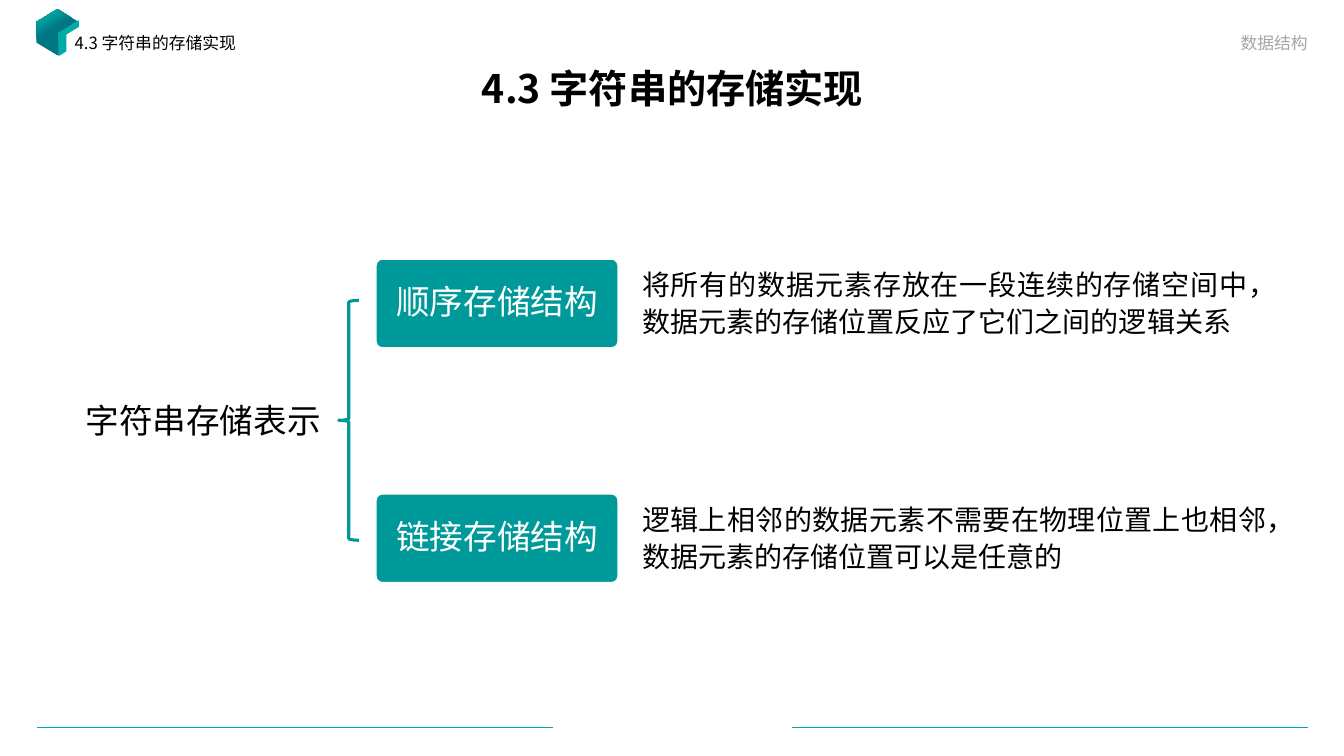
import pptx
import pptx.util
import pptx.dml.color
import pptx.enum.shapes
import pptx.enum.text
from lxml import etree

Inches = pptx.util.Inches
Pt = pptx.util.Pt
SHAPE = pptx.enum.shapes.MSO_SHAPE
ALIGN = pptx.enum.text.PP_ALIGN
ANCHOR = pptx.enum.text.MSO_ANCHOR

FONT = "Noto Sans CJK SC"
COLORS = {
    "teal": "009999",
    "bright": "00ABA5",
    "deep": "007684",
    "white": "FFFFFF",
    "black": "000000",
    "grey": "A6A6A6",
}


def rgb(name):
    return pptx.dml.color.RGBColor.from_string(COLORS[name])


def set_text(sp, text, size, color="black", align=ALIGN.LEFT,
             anchor=ANCHOR.TOP, spacing=1.0, bold=False):
    tf = sp.text_frame
    tf.word_wrap = True
    tf.auto_size = pptx.enum.text.MSO_AUTO_SIZE.NONE
    tf.vertical_anchor = anchor
    p = tf.paragraphs[0]
    p.text = text
    p.alignment = align
    p.line_spacing = spacing
    p.space_before = Pt(0)
    font = p.font
    font.size, font.bold, font.name = Pt(size), bold, FONT
    font.color.rgb = rgb(color)
    # East Asian typeface follows the Latin one
    latin = p._p.pPr.find(".//" + pptx.oxml.ns.qn("a:latin"))
    ea = etree.Element(pptx.oxml.ns.qn("a:ea"), typeface=FONT)
    latin.addnext(ea)


def place(sp, x, y, w, h):
    sp.left, sp.top, sp.width, sp.height = map(Inches, (x, y, w, h))


def add_shape(slide, kind, x, y, w, h, fill=None):
    sp = slide.shapes.add_shape(kind, *map(Inches, (x, y, w, h)))
    sp.shadow.inherit = False
    sp.line.fill.background()
    if fill:
        sp.fill.solid()
        sp.fill.fore_color.rgb = rgb(fill)
    else:
        sp.fill.background()
    return sp


def add_label(slide, x, y, w, h, text, size, **style):
    sp = slide.shapes.add_textbox(*map(Inches, (x, y, w, h)))
    set_text(sp, text, size, **style)


def add_footer_rules(slide, x, y, w, rule_w):
    for left in (x, x + w - rule_w):
        line = slide.shapes.add_connector(
            pptx.enum.shapes.MSO_CONNECTOR.STRAIGHT,
            Inches(left), Inches(y), Inches(left + rule_w), Inches(y))
        line.line.fill.solid()
        line.line.fill.fore_color.rgb = rgb("bright")
        line.line.width = Pt(0.5)
        etree.SubElement(line._element.spPr, pptx.oxml.ns.qn("a:effectLst"))
        # Drop the theme style so that only the teal line is drawn
        line._element.remove(line._element.find(pptx.oxml.ns.qn("p:style")))


def add_cube(slide, x, y):
    body = add_shape(slide, SHAPE.HEXAGON, x, y, 0.46, 0.42)
    body.rotation = 90
    body.adjustments[0] = 0.305
    body.fill.gradient()
    body.fill.gradient_angle = 210
    stops = zip(body.fill.gradient_stops, (0.57, 0.87), ("deep", "bright"))
    for stop, position, color in stops:
        stop.position = position
        stop.color.rgb = rgb(color)
    # Lit face and the notch cut out of it
    for dx, dy, color in ((0.16, 0.17, "bright"), (0.24, 0.19, "white")):
        face = add_shape(slide, SHAPE.PARALLELOGRAM, x + dx, y + dy,
                         0.36, 0.2, color)
        face.adjustments[0] = 0.61
        face.rotation = 328.6


def add_header(slide):
    title, section, _, course, _ = list(slide.placeholders)
    place(title, 0.92, 0.62, 11.5, 0.57)
    set_text(title, "4.3 字符串的存储实现", 28, align=ALIGN.CENTER,
             anchor=ANCHOR.MIDDLE, spacing=0.9, bold=True)
    place(section, 0.64, 0.3, 5.32, 0.36)
    set_text(section, "4.3 字符串的存储实现", 12, spacing=0.9)
    place(course, 7.43, 0.22, 5.64, 0.35)
    set_text(course, "数据结构", 12, color="grey", align=ALIGN.RIGHT,
             anchor=ANCHOR.BOTTOM)
    # Bring filled placeholders in front of the cube, remove empty ones
    for sp in list(slide.placeholders):
        tree = sp._element.getparent()
        tree.remove(sp._element)
        if sp.text_frame.text:
            tree.append(sp._element)


def add_storage_tree(slide, x, y, branches):
    # Root label and brace
    add_label(slide, x, y + 1.35, 2.58, 0.5, "字符串存储表示", 24)
    brace = add_shape(slide, SHAPE.LEFT_BRACE, x + 2.61, y + 0.41, 0.2, 2.38)
    brace.line.color.rgb = rgb("teal")
    brace.line.width = Pt(2.25)
    # One row per branch: name box and description
    for i, (name, description, width) in enumerate(branches):
        top = y + i * 2.33
        box = add_shape(slide, SHAPE.ROUNDED_RECTANGLE, x + 2.98, top,
                        2.4, 0.88, "teal")
        box.adjustments[0] = 0.07
        box.line.color.rgb = rgb("white")
        box.line.width = Pt(1)
        set_text(box, name, 24, color="white", align=ALIGN.CENTER,
                 anchor=ANCHOR.MIDDLE, spacing=0.9)
        add_label(slide, x + 5.52, top, width, 0.82, description, 20,
                  align=ALIGN.JUSTIFY, spacing=1.1)


def main():
    prs = pptx.Presentation()
    prs.slide_width, prs.slide_height = Inches(13.33), Inches(7.5)
    slide = prs.slides.add_slide(prs.slide_layouts.get_by_name("Comparison"))
    add_footer_rules(slide, 0.37, 7.22, 12.6, 5.11)
    add_cube(slide, 0.34, 0.11)
    add_header(slide)
    add_storage_tree(slide, 0.75, 2.57, [
        ("顺序存储结构",
         "将所有的数据元素存放在一段连续的存储空间中，"
         "数据元素的存储位置反应了它们之间的逻辑关系", 6.21),
        ("链接存储结构",
         "逻辑上相邻的数据元素不需要在物理位置上也相邻，"
         "数据元素的存储位置可以是任意的", 6.67),
    ])
    prs.save("out.pptx")


if __name__ == "__main__":
    main()
